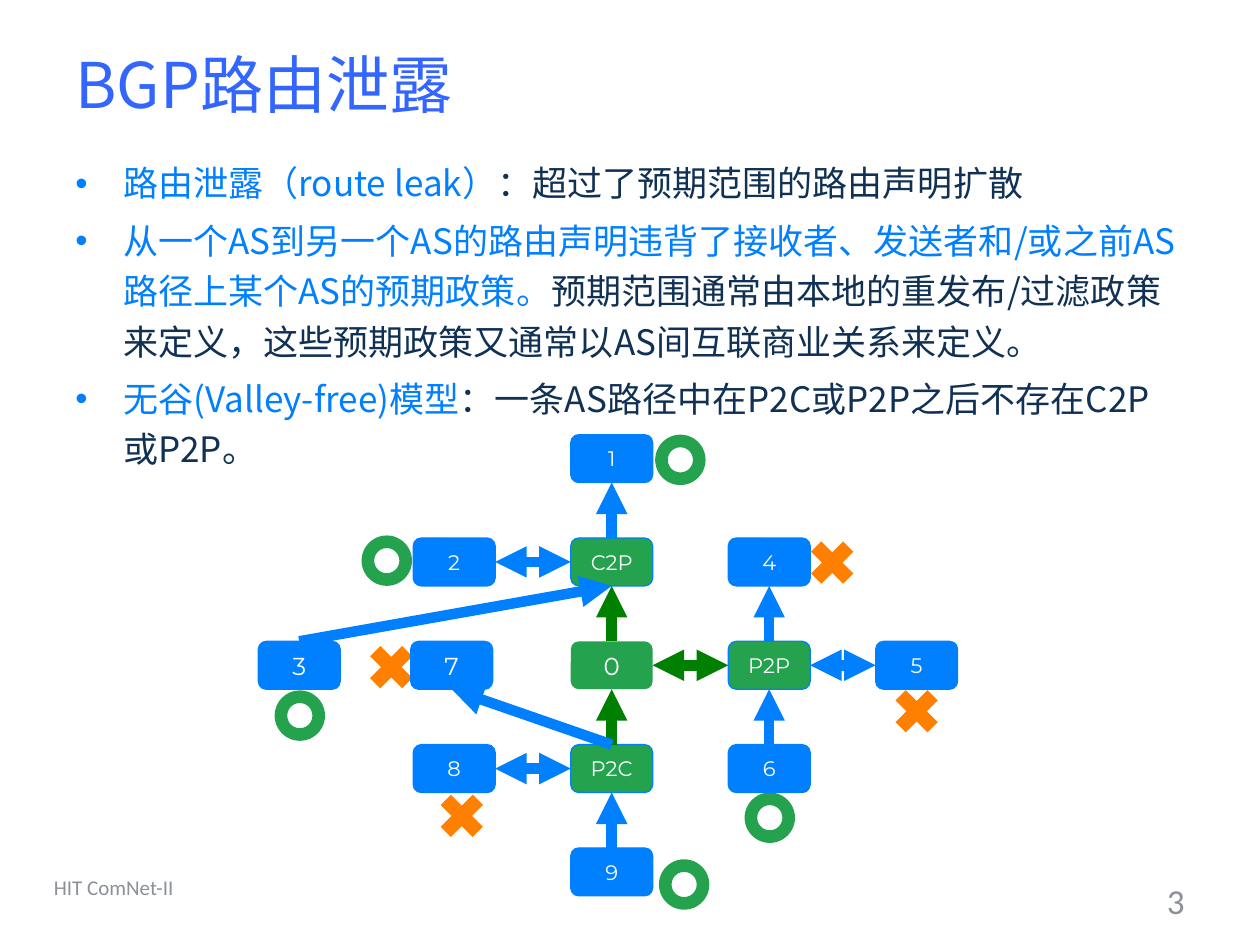
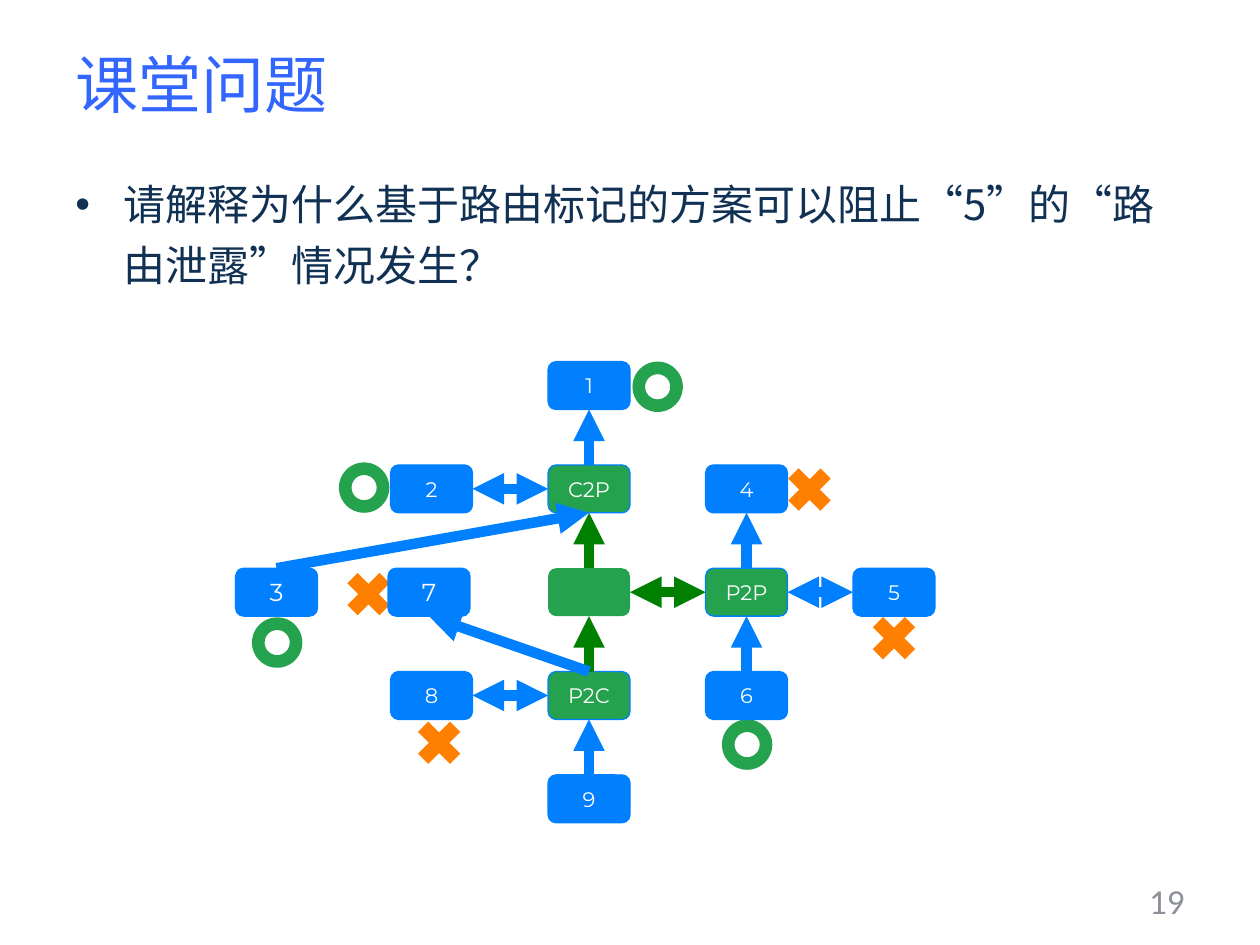
from lxml.etree import SubElement
from pptx import Presentation
from pptx.dml.color import RGBColor
from pptx.enum.shapes import MSO_CONNECTOR, MSO_SHAPE
from pptx.enum.text import MSO_ANCHOR, MSO_AUTO_SIZE, PP_ALIGN
from pptx.oxml.ns import qn
from pptx.util import Pt

PX = 9144  # 100 px to the inch
COLORS = {
    "title": "3366FF", "key": "007FFE", "text": "103154", "footer": "8C9099",
    "node": "0080FF", "center": "25A24E", "export": "008000",
    "allowed": "25A24E", "leak": "FF7F01", "white": "FFFFFF",
}
CJK, LATIN, NODE_FONT = "Noto Sans CJK SC", "Calibri", "Montserrat"


def px(*lengths):
    return [length * PX for length in lengths]


def style(run, size, font, color):
    """Format a run, with the same typeface for Latin and East Asian text."""
    run.font.size = Pt(size)
    run.font.name = font
    run.font.color.rgb = RGBColor.from_string(COLORS[color])
    SubElement(run.font._element, qn("a:ea")).set("typeface", font)


# The AS topology: a grid of nodes, its links and a verdict beside each leaf
NODE_W, NODE_H = 65, 38
COL_X = {"3": 205, "7": 326, "left": 328, "mid": 453, "right": 578, "5": 695}
ROW_Y = [345 + 82 * row for row in range(5)]
NODES = [
    # name, column, row, font size
    ("0", "mid", 2, 14), ("P2P", "right", 2, 12), ("7", "7", 2, 14),
    ("3", "3", 2, 14), ("5", "5", 2, 12), ("P2C", "mid", 3, 12),
    ("9", "mid", 4, 12), ("8", "left", 3, 12), ("2", "left", 1, 12),
    ("C2P", "mid", 1, 12), ("1", "mid", 0, 12), ("4", "right", 1, 12),
    ("6", "right", 3, 12),
]
CENTERS = {"0", "P2P", "P2C", "C2P"}
TOP, LEFT, BOTTOM, RIGHT = range(4)
LINKS = [
    # arrow node and side, far node and side, color; sideways links are two-way
    ("C2P", BOTTOM, "0", TOP, "export"),
    ("1", BOTTOM, "C2P", TOP, "node"),
    ("0", BOTTOM, "P2C", TOP, "export"),
    ("P2C", BOTTOM, "9", TOP, "node"),
    ("0", RIGHT, "P2P", LEFT, "export"),
    ("P2P", RIGHT, "5", LEFT, "node"),
    ("2", RIGHT, "C2P", LEFT, "node"),
    ("4", BOTTOM, "P2P", TOP, "node"),
    ("P2P", BOTTOM, "6", TOP, "node"),
    ("C2P", BOTTOM, "3", TOP, "node"),
    ("8", RIGHT, "P2C", LEFT, "node"),
    ("7", BOTTOM, "P2C", TOP, "node"),
]
VERDICTS = {
    "allowed": (MSO_SHAPE.DONUT, 40),
    "leak": (MSO_SHAPE.MATH_MULTIPLY, 49),
}
MARKS = [
    ("leak", 286, 505), ("allowed", 520, 345), ("allowed", 287, 425),
    ("allowed", 591, 629), ("leak", 636, 422), ("leak", 703, 540),
    ("leak", 342, 623), ("allowed", 218, 548),
]

SLIDES = [
    {
        "title": "BGP路由泄露", "number": "3", "course": "HIT ComNet-II",
        "body_top": 117, "body_size": 20, "shift": (0, 0), "origin": "0",
        "late_marks": [("allowed", 523, 682)],
        "body": [
            [("路由泄露（route leak）", "key"),
             ("：超过了预期范围的路由声明扩散", "text")],
            [("从一个AS到另一个AS的路由声明违背了接收者、发送者和/或之前AS路径上某个AS的预期政策。", "key"),
             ("预期范围通常由本地的重发布/过滤政策来定义，这些预期政策又通常以AS间互联商业关系来定义。", "text")],
            [("无谷(Valley-free)模型", "key"),
             ("：一条AS路径中在P2C或P2P之后不存在C2P或P2P。", "text")],
        ],
    },
    {
        "title": "课堂问题", "number": "19", "course": "",
        "body_top": 129, "body_size": 24, "shift": (-18, -58), "origin": "",
        "late_marks": [],
        "body": [
            [("请解释为什么基于路由标记的方案可以阻止“5”的“路由泄露”情况发生？", "text")],
        ],
    },
]

prs = Presentation()
prs.slide_width, prs.slide_height = px(1000, 750)

for content in SLIDES:
    slide = prs.slides.add_slide(prs.slide_layouts[5])
    shapes = slide.shapes
    dx, dy = content["shift"]

    title = shapes.title
    title.left, title.top, title.width, title.height = px(50, 4, 900, 125)
    title.text_frame.text = content["title"]
    title.text_frame.vertical_anchor = MSO_ANCHOR.MIDDLE
    title.text_frame.auto_size = MSO_AUTO_SIZE.NONE
    heading = title.text_frame.paragraphs[0]
    heading.alignment = PP_ALIGN.LEFT
    style(heading.runs[0], 36, CJK, "title")

    body_top, body_size = content["body_top"], content["body_size"]
    body = shapes.add_textbox(*px(50, body_top, 900, 720 - body_top)).text_frame
    body.word_wrap = True
    for index, parts in enumerate(content["body"]):
        point = body.add_paragraph() if index else body.paragraphs[0]
        point.line_spacing = 1.2
        point.space_before = Pt(body_size * 0.2)
        indent = 38 * PX
        props = point._p.get_or_add_pPr()
        props.set("marL", str(indent))
        props.set("indent", str(-indent))
        SubElement(props, qn("a:buFont")).set("typeface", "Arial")
        SubElement(props, qn("a:buChar")).set("char", "•")
        for words, color in parts:
            run = point.add_run()
            run.text = words
            style(run, body_size, CJK, color)

    footers = [
        (content["number"], (717, 695, 233, 40), 20, PP_ALIGN.RIGHT),
        (content["course"], (33, 684, 317, 40), 12, PP_ALIGN.LEFT),
    ]
    for words, box, size, align in footers:
        if not words:
            continue
        footer = shapes.add_textbox(*px(*box)).text_frame
        footer.word_wrap = True
        footer.vertical_anchor = MSO_ANCHOR.MIDDLE
        footer.text = words
        footer.paragraphs[0].alignment = align
        style(footer.paragraphs[0].runs[0], size, LATIN, "footer")

    for verdict, x, y in MARKS + content["late_marks"]:
        preset, size = VERDICTS[verdict]
        mark = shapes.add_shape(preset, *px(x + dx, y + dy, size, size))
        mark.shadow.inherit = False
        mark.fill.solid()
        mark.fill.fore_color.rgb = RGBColor.from_string(COLORS[verdict])
        mark.line.fill.background()

    nodes = {}
    for name, column, row, size in NODES:
        node = shapes.add_shape(
            MSO_SHAPE.ROUNDED_RECTANGLE,
            *px(COL_X[column] + dx, ROW_Y[row] + dy, NODE_W, NODE_H))
        nodes[name] = node
        node.shadow.inherit = False
        node.fill.solid()
        fill = "center" if name in CENTERS else "node"
        node.fill.fore_color.rgb = RGBColor.from_string(COLORS[fill])
        if name == "0":
            node.line.fill.background()
        else:
            node.line.color.rgb = RGBColor.from_string(COLORS["node"])
            node.line.width = Pt(0.75)
        frame = node.text_frame
        frame.margin_left = frame.margin_right = 0
        frame.margin_top = frame.margin_bottom = 0
        frame.vertical_anchor = MSO_ANCHOR.MIDDLE
        label = content["origin"] if name == "0" else name
        if label:
            frame.text = label
            frame.paragraphs[0].alignment = PP_ALIGN.CENTER
            style(frame.paragraphs[0].runs[0], size, NODE_FONT, "white")

    for head, head_side, tail, tail_side, color in LINKS:
        link = shapes.add_connector(MSO_CONNECTOR.STRAIGHT, 0, 0, 0, 0)
        link.begin_connect(nodes[head], head_side)
        link.end_connect(nodes[tail], tail_side)
        link.line.color.rgb = RGBColor.from_string(COLORS[color])
        link.line.width = Pt(6)
        outline = link.line._get_or_add_ln()
        SubElement(outline, qn("a:headEnd")).set("type", "triangle")
        if head_side == RIGHT:
            SubElement(outline, qn("a:tailEnd")).set("type", "triangle")
        SubElement(link._element.spPr, qn("a:effectLst"))

prs.save("out.pptx")
